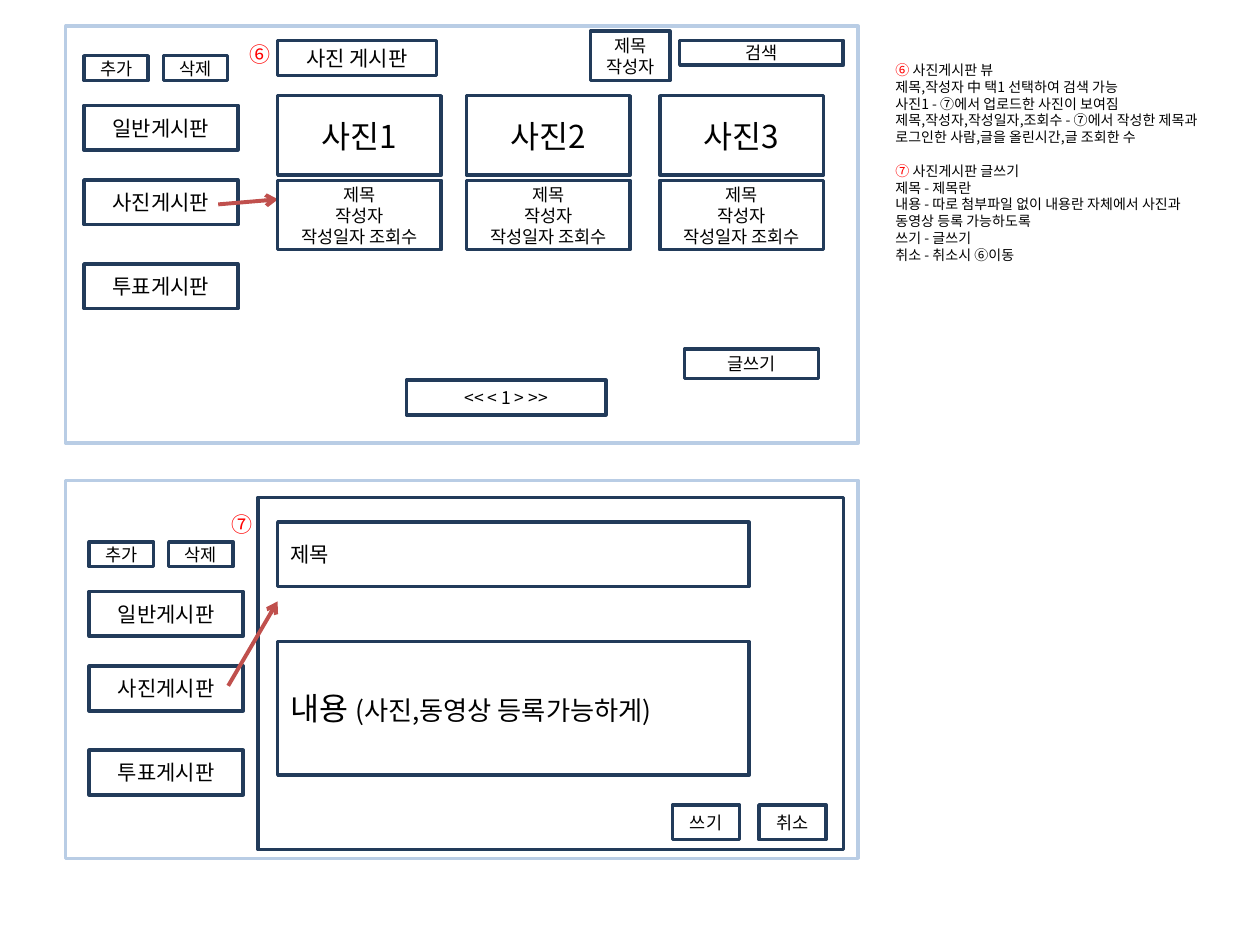
from lxml import etree
from pptx import Presentation
from pptx import util as u
from pptx.dml.color import RGBColor
from pptx.enum import shapes, text
from pptx.oxml import ns

FONT = "Noto Sans CJK KR"
COLORS = {
    "frame": "B9CDE5",
    "outline": "223B5A",
    "paper": "FFFFFF",
    "ink": "000000",
    "marker": "FF0000",
    "arrow": "C0504D",
}
ALIGN = text.PP_ALIGN


def rgb(name):
    return RGBColor.from_string(COLORS[name])


def add_span(para, words, size=10, color="ink"):
    span = para.add_run()
    span.text = words
    span.font.size = u.Pt(size)
    span.font.name = FONT
    span.font.color.rgb = rgb(color)
    east_asian = etree.SubElement(span.font._element, ns.qn("a:ea"))
    east_asian.set("typeface", FONT)


def write(box, paras, size=10, color="ink", align=ALIGN.CENTER):
    """Fill a box; each paragraph is a string or a list of (words, format) spans."""
    frame = box.text_frame
    for index, spans in enumerate(paras):
        para = frame.add_paragraph() if index else frame.paragraphs[0]
        para.alignment = align
        if isinstance(spans, str):
            spans = [(spans, {})]
        for words, span_format in spans:
            add_span(para, words, **{"size": size, "color": color, **span_format})


def add_rect(page, left, top, width, height, paras=(), line="outline", filled=True, **text_format):
    box = page.shapes.add_shape(
        shapes.MSO_SHAPE.RECTANGLE, u.Pt(left), u.Pt(top), u.Pt(width), u.Pt(height))
    box.shadow.inherit = False
    if filled:
        box.fill.solid()
        box.fill.fore_color.rgb = rgb("paper")
    else:
        box.fill.background()
    box.line.color.rgb = rgb(line)
    box.line.width = u.Pt(2)
    box.text_frame.vertical_anchor = text.MSO_ANCHOR.MIDDLE
    write(box, paras, **text_format)


def add_text(page, left, top, width, height, paras, wrap=False, **text_format):
    box = page.shapes.add_textbox(u.Pt(left), u.Pt(top), u.Pt(width), u.Pt(height))
    box.text_frame.word_wrap = wrap
    box.text_frame.auto_size = text.MSO_AUTO_SIZE.SHAPE_TO_FIT_TEXT
    write(box, paras, align=ALIGN.LEFT, **text_format)
    return box


def add_arrow(page, *ends):
    arrow = page.shapes.add_connector(shapes.MSO_CONNECTOR.STRAIGHT, *map(u.Pt, ends))
    arrow.line.color.rgb = rgb("arrow")
    arrow.line.width = u.Pt(2.25)
    head = etree.SubElement(arrow.line._get_or_add_ln(), ns.qn("a:tailEnd"))
    head.set("type", "arrow")
    etree.SubElement(arrow._element.spPr, ns.qn("a:effectLst"))


def add_marker(page, left, top, number):
    add_text(page, left, top, 26, 21.8, [number], size=12, color="marker")


def add_sidebar(page, left, top):
    for index, label in enumerate(["추가", "삭제"]):
        add_rect(page, left + index * 45.4, top, 36.7, 14.2, [label])
    for label, drop in [("일반게시판", 28.4), ("사진게시판", 71.1), ("투표게시판", 119.1)]:
        add_rect(page, left, top + drop, 88, 25.5, [label], size=12)


def add_photo_cards(page):
    for number, left in enumerate([158.7, 266.6, 377.1], start=1):
        add_rect(page, left, 54.7, 93.5, 45.4, [f"사진{number}"], size=18)
        add_rect(page, left, 103, 93.5, 39.7, ["제목", "작성자", "작성일자 조회수"])


def add_board_view(page):
    add_arrow(page, 124.7, 116.8, 158.9, 113.9)
    add_rect(page, 158.7, 23.1, 90.7, 20, ["사진 게시판"], size=12)
    add_photo_cards(page)
    add_rect(page, 232.3, 217.2, 113.9, 20, ["<< < 1 > >>"])
    add_rect(page, 391.2, 199.4, 76.5, 17, ["글쓰기"])
    add_marker(page, 135.2, 20.2, "⑥")
    add_rect(page, 388.4, 23.1, 93.5, 14.2, ["검색"])
    add_rect(page, 337.4, 17.8, 45.4, 28.2, ["제목", "작성자"])


def add_write_form(page):
    add_rect(page, 147.5, 284.2, 334.6, 201.3)
    add_rect(page, 158.7, 298.4, 269.3, 36.8, ["제목"], size=12, align=ALIGN.LEFT)
    content = [("내용 ", {"size": 18}), ("(사진,동영상 등록가능하게)", {"size": 15})]
    add_rect(page, 158.7, 366.5, 269.3, 76.5, [content], align=ALIGN.LEFT)
    add_arrow(page, 130.4, 391.9, 158.6, 343.7)
    add_marker(page, 125.1, 288.5, "⑦")
    for left, label in [(384.3, "쓰기"), (433.7, "취소")]:
        add_rect(page, left, 460, 38.3, 19.8, [label])


def add_notes(page):
    red = {"color": "marker"}
    paras = [
        [("⑥ ", red), ("사진게시판 뷰", {})],
        "제목,작성자 中 택1 선택하여 검색 가능",
        "사진1 - ⑦에서 업로드한 사진이 보여짐",
        "제목,작성자,작성일자,조회수 - ⑦에서 작성한 제목과 로그인한 사람,글을 올린시간,글 조회한 수",
        [("⑦", red), (" 사진게시판 글쓰기", {})],
        "제목 - 제목란",
        "내용 - 따로 첨부파일 없이 내용란 자체에서 사진과 동영상 등록 가능하도록",
        "쓰기 - 글쓰기",
        "취소 - 취소시 ⑥이동",
    ]
    box = add_text(page, 504.6, 31.7, 198.5, 122.4, paras, wrap=True, size=8)
    box.text_frame.paragraphs[4].space_before = u.Pt(9.6)


def main():
    deck = Presentation()
    deck.slide_width, deck.slide_height = u.Pt(720), u.Pt(540)
    page = deck.slides.add_slide(deck.slide_layouts[6])
    for top, height in [(274.5, 216), (15, 238.2)]:
        add_rect(page, 37.5, top, 452.9, height, line="frame", filled=False)
    add_sidebar(page, 48, 31.8)
    add_sidebar(page, 51, 309.6)
    add_write_form(page)
    add_board_view(page)
    add_notes(page)
    deck.save("out.pptx")


if __name__ == "__main__":
    main()
